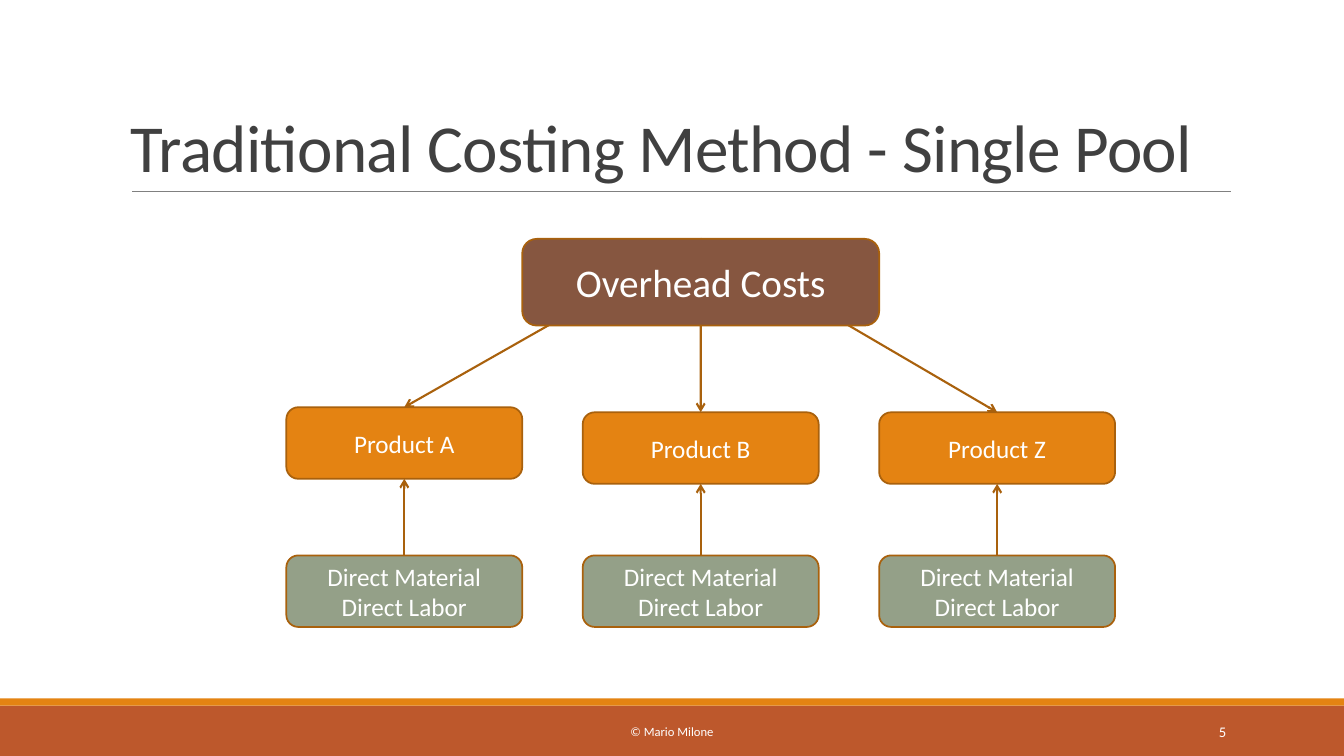
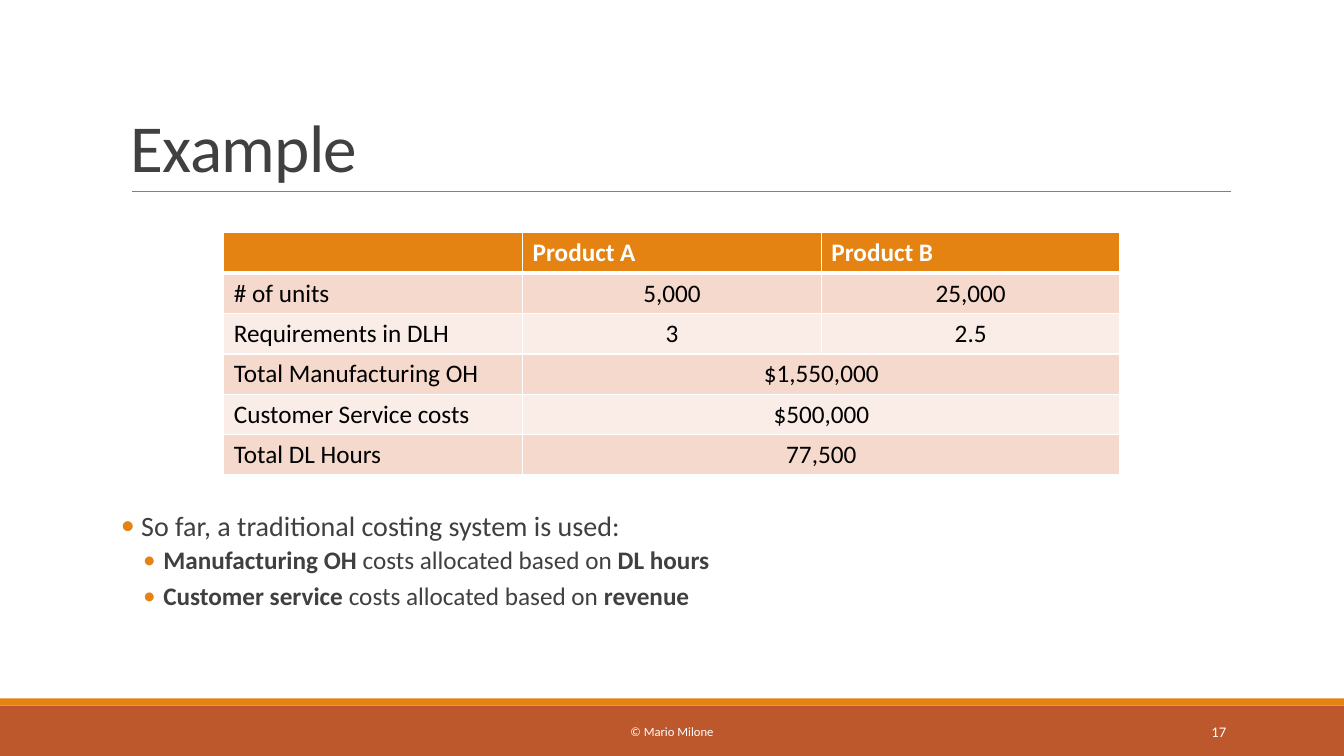
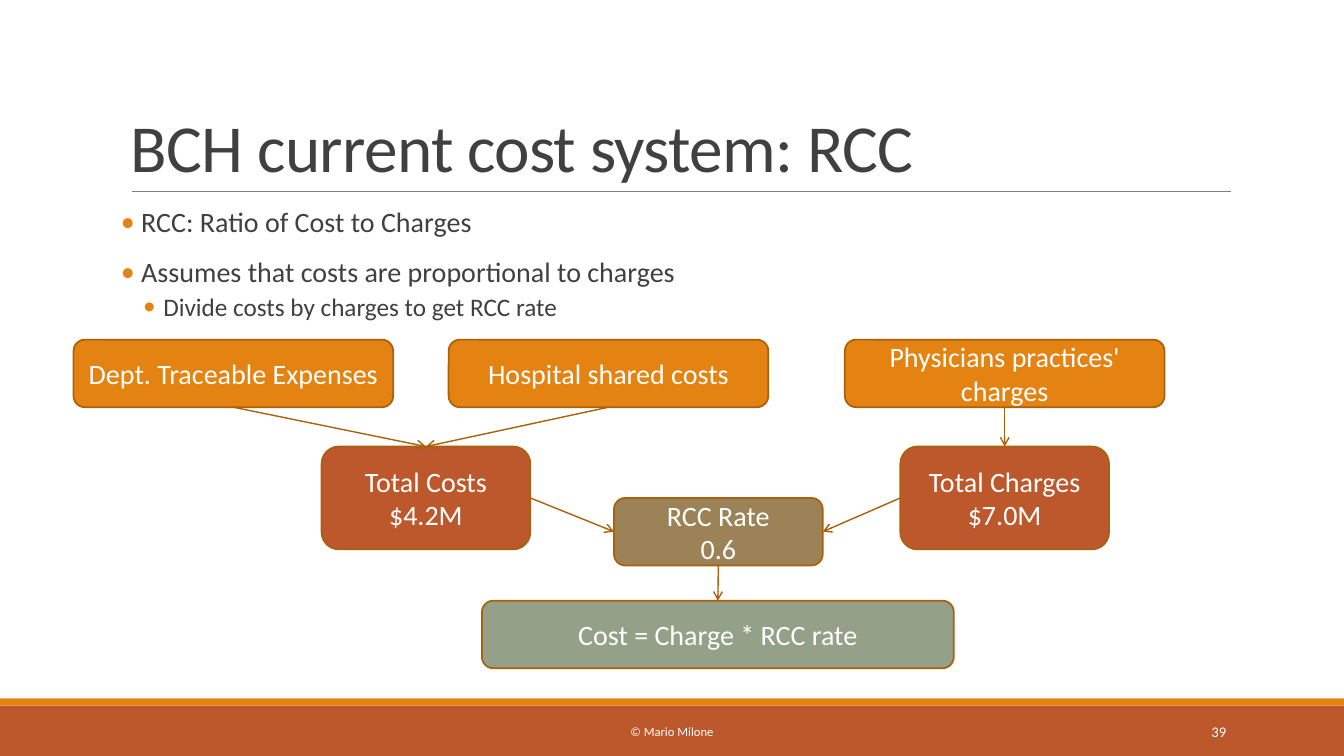
from lxml.etree import SubElement
from pptx import Presentation
from pptx.dml.color import RGBColor
from pptx.enum.shapes import MSO_CONNECTOR as Connector, MSO_SHAPE as Shape
from pptx.enum.text import MSO_ANCHOR as Anchor, PP_ALIGN as Align
from pptx.oxml.ns import qn
from pptx.util import Inches, Pt

FONT = "Calibri"
WHITE = RGBColor(0xFF, 0xFF, 0xFF)
BLACK = RGBColor(0x00, 0x00, 0x00)
DARK = RGBColor(0x40, 0x40, 0x40)
GRAY = RGBColor(0x80, 0x80, 0x80)
ORANGE = RGBColor(0xE4, 0x83, 0x12)
RUST = RGBColor(0xBD, 0x58, 0x2C)
BROWN = RGBColor(0x86, 0x56, 0x40)
SAGE = RGBColor(0x94, 0xA0, 0x88)
KHAKI = RGBColor(0x9B, 0x83, 0x57)
OUTLINE = RGBColor(0xA9, 0x61, 0x0D)
BAND_DARK = RGBColor(0xF5, 0xD9, 0xCC)
BAND_LIGHT = RGBColor(0xFA, 0xED, 0xE7)
TOP, LEFT, BOTTOM, RIGHT = range(4)


def write(paragraph, text, size=18, color=WHITE, bold=False, align=None,
          line_spacing=None, tracking=None):
    """Fill a paragraph; parts between ** marks switch to bold."""
    paragraph.alignment = align
    if line_spacing:
        paragraph.line_spacing = line_spacing
    for index, part in enumerate(text.split("**")):
        if not part:
            continue
        span = paragraph.add_run()
        span.text = part
        font = span.font
        font.name, font.size, font.color.rgb = FONT, Pt(size), color
        font.bold = bold or index % 2 == 1
        if tracking:
            span.font._element.set("spc", str(int(tracking * 100)))


def add_text_box(page, left, top, width, height, text, anchor=Anchor.MIDDLE,
                 **text_format):
    box = page.shapes.add_textbox(Inches(left), Inches(top),
                                  Inches(width), Inches(height))
    frame = box.text_frame
    frame.word_wrap = True
    frame.vertical_anchor = anchor
    write(frame.paragraphs[0], text, **text_format)


def add_bullets(page, top, items):
    """Add (level, text) items down to the lower edge of the body area."""
    box = page.shapes.add_textbox(Inches(1.2), Inches(top),
                                  Inches(11), Inches(6.42 - top))
    frame = box.text_frame
    frame.word_wrap = True
    frame.margin_left = frame.margin_right = 0
    for index, (level, text) in enumerate(items):
        paragraph = frame.add_paragraph() if index else frame.paragraphs[0]
        indent, hanging, size, before, after = (
            (0.42, 0.2, 18, 2, 4) if level else (0.1, 0.1, 20, 12, 2))
        properties = paragraph._p.get_or_add_pPr()
        properties.set("marL", str(Inches(indent)))
        properties.set("indent", str(-Inches(hanging)))
        bullet_color = SubElement(properties, qn("a:buClr"))
        SubElement(bullet_color, qn("a:srgbClr"), val=str(ORANGE))
        SubElement(properties, qn("a:buFont"), typeface=FONT)
        SubElement(properties, qn("a:buChar"), char="•")
        paragraph.level = level
        if index:
            paragraph.space_before = Pt(before)
        paragraph.space_after = Pt(after)
        write(paragraph, text, size=size, color=DARK, line_spacing=0.9)


def add_band(page, top, height, color):
    band = page.shapes.add_shape(Shape.RECTANGLE, 0, Inches(top),
                                 Inches(13.33), Inches(height))
    band.shadow.inherit = False
    band.fill.solid()
    band.fill.fore_color.rgb = color
    band.line.fill.background()


def add_node(page, left, top, width, height, text, fill, size=20):
    node = page.shapes.add_shape(Shape.FLOWCHART_ALTERNATE_PROCESS,
                                 Inches(left), Inches(top),
                                 Inches(width), Inches(height))
    node.shadow.inherit = False
    node.fill.solid()
    node.fill.fore_color.rgb = fill
    node.line.color.rgb = OUTLINE
    node.line.width = Pt(1.25)
    frame = node.text_frame
    frame.word_wrap = True
    frame.vertical_anchor = Anchor.MIDDLE
    for index, line in enumerate(text.split("\n")):
        paragraph = frame.add_paragraph() if index else frame.paragraphs[0]
        write(paragraph, line, size=size, align=Align.CENTER)
    return node


def add_line(page, color, width, start=(0, 0), end=(0, 0)):
    line = page.shapes.add_connector(Connector.STRAIGHT,
                                     *map(Inches, start + end))
    line.line.color.rgb = color
    line.line.width = Pt(width)
    SubElement(line._element.spPr, qn("a:effectLst"))
    return line


def add_arrow(page, source, source_side, target, target_side, width):
    arrow = add_line(page, OUTLINE, width)
    arrow.begin_connect(source, source_side)
    arrow.end_connect(target, target_side)
    outline = arrow._element.spPr.find(qn("a:ln"))
    SubElement(outline, qn("a:tailEnd"), type="arrow")


def add_page(deck, title, number):
    """Add a slide with the shared bands, title, rule and footer."""
    page = deck.slides.add_slide(deck.slide_layouts[6])
    add_band(page, 7, 0.5, RUST)
    add_band(page, 6.93, 0.07, ORANGE)
    add_line(page, GRAY, 0.5, (1.31, 1.9), (12.21, 1.9))
    add_text_box(page, 1.2, 0.31, 11, 1.59, title, anchor=Anchor.BOTTOM,
                 size=48, color=DARK, line_spacing=0.85, tracking=-0.5)
    add_text_box(page, 4.03, 7.06, 5.27, 0.4, "© Mario Milone",
                 size=9, align=Align.CENTER)
    add_text_box(page, 10.83, 7.06, 1.43, 0.4, str(number),
                 size=10.5, align=Align.RIGHT)
    return page


def set_borders(cell, top, bottom):
    """Give a cell white borders; call before setting its fill."""
    properties = cell._tc.get_or_add_tcPr()
    for side, width in (("L", 1), ("R", 1), ("T", top), ("B", bottom)):
        border = SubElement(properties, qn(f"a:ln{side}"), w=str(Pt(width)))
        fill = SubElement(border, qn("a:solidFill"))
        SubElement(fill, qn("a:srgbClr"), val=str(WHITE))


def add_cost_table(page, rows):
    """Add a table; a row with two values has its last two cells merged."""
    table = page.shapes.add_table(len(rows), 3, Inches(2.22), Inches(2.31),
                                  Inches(8.89), Inches(2.4)).table
    table.horz_banding = False
    for row_index, values in enumerate(rows):
        header = row_index == 0
        fill = ORANGE if header else BAND_DARK if row_index % 2 else BAND_LIGHT
        for column in range(3):
            cell = table.cell(row_index, column)
            set_borders(cell, top=3 if row_index == 1 else 1,
                        bottom=3 if header else 1)
            cell.fill.solid()
            cell.fill.fore_color.rgb = fill
        if len(values) == 2:
            table.cell(row_index, 1).merge(table.cell(row_index, 2))
        for column, value in enumerate(values):
            centered = column and not header
            write(table.cell(row_index, column).text_frame.paragraphs[0],
                  value, color=WHITE if header else BLACK, bold=header,
                  align=Align.CENTER if centered else None)


def build_single_pool(deck):
    page = add_page(deck, "Traditional Costing Method - Single Pool", 5)
    overhead = add_node(page, 5.18, 2.37, 3.54, 0.86, "Overhead Costs",
                        BROWN, size=28)
    products = (("Product A", 4.04), ("Product B", 4.09), ("Product Z", 4.09))
    for index, (name, top) in enumerate(products):
        left = 2.84 + 2.94 * index
        product = add_node(page, left, top, 2.34, 0.71, name, ORANGE, size=18)
        direct = add_node(page, left, 5.51, 2.34, 0.71,
                          "Direct Material\nDirect Labor", SAGE, size=18)
        add_arrow(page, overhead, TOP, product, TOP, 1.5)
        add_arrow(page, direct, TOP, product, BOTTOM, 1.5)
    # The arrows start behind the overhead box, so it goes to the front.
    overhead._element.getparent().append(overhead._element)


def build_example(deck):
    page = add_page(deck, "Example", 17)
    add_bullets(page, 5.03, (
        (0, " So far, a traditional costing system is used:"),
        (1, "**Manufacturing OH** costs allocated based on **DL hours**"),
        (1, "**Customer service** costs allocated based on **revenue**"),
    ))
    add_cost_table(page, (
        ("", "Product A", "Product B"),
        ("# of units", "5,000", "25,000"),
        ("Requirements in DLH", "3", "2.5"),
        ("Total Manufacturing OH", "$1,550,000"),
        ("Customer Service costs", "$500,000"),
        ("Total DL Hours", "77,500"),
    ))


def build_rcc(deck):
    page = add_page(deck, "BCH current cost system: RCC", 39)
    add_bullets(page, 2.02, (
        (0, " RCC: Ratio of Cost to Charges"),
        (0, " Assumes that costs are proportional to charges"),
        (1, "Divide costs by charges to get RCC rate"),
    ))
    traceable, shared, practices = (
        add_node(page, left, 3.37, 3.17, 0.67, text, ORANGE)
        for left, text in ((0.73, "Dept. Traceable Expenses"),
                           (4.45, "Hospital shared costs"),
                           (8.38, "Physicians practices' charges")))
    costs, charges = (
        add_node(page, left, 4.43, 2.07, 1.02, text, RUST)
        for left, text in ((3.19, "Total Costs\n$4.2M"),
                           (8.93, "Total Charges\n$7.0M")))
    rate = add_node(page, 6.09, 4.94, 2.07, 0.67, "RCC Rate\n0.6", KHAKI)
    formula = add_node(page, 4.78, 5.96, 4.68, 0.67,
                       "Cost = Charge * RCC rate", SAGE)
    for source, source_side, target, target_side in (
            (traceable, BOTTOM, costs, TOP),
            (shared, BOTTOM, costs, TOP),
            (practices, BOTTOM, charges, TOP),
            (charges, LEFT, rate, RIGHT),
            (costs, RIGHT, rate, LEFT),
            (rate, BOTTOM, formula, TOP)):
        add_arrow(page, source, source_side, target, target_side, 1)


def main():
    deck = Presentation()
    deck.slide_width, deck.slide_height = Inches(13.33), Inches(7.5)
    build_single_pool(deck)
    build_example(deck)
    build_rcc(deck)
    deck.save("out.pptx")


if __name__ == "__main__":
    main()
